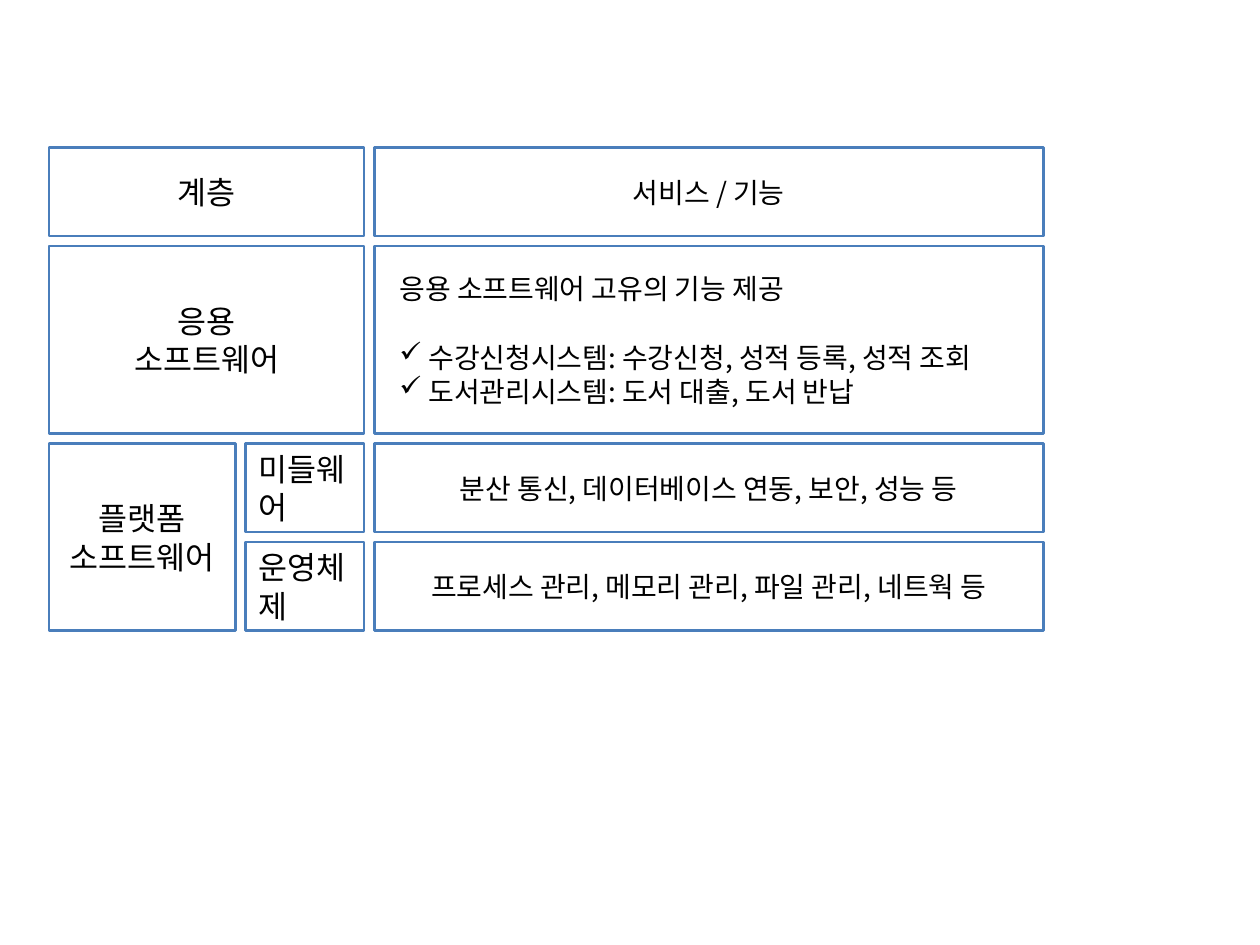
from lxml import etree
from pptx import Presentation
from pptx.dml.color import RGBColor
from pptx.enum import shapes, text
from pptx.oxml.ns import qn
from pptx.util import Inches, Pt

COLORS = {"border": "4A7EBB", "text": "000000"}
FONT = "Noto Sans CJK KR"
CENTER, LEFT = text.PP_ALIGN.CENTER, text.PP_ALIGN.LEFT
LABEL, SERVICE = 18, 16  # text sizes
LINE_HEIGHT = {LABEL: 22, SERVICE: 19.5}
BULLET_INDENT = 0.23

# Cells: column, column end, row, row end, size, alignment, lines
CELLS = [
    (0, 2, 0, 1, LABEL, CENTER, ["계층"]),
    (2, 3, 0, 1, SERVICE, CENTER, ["서비스 / 기능"]),
    (0, 2, 1, 3, LABEL, CENTER, ["응용", "소프트웨어"]),
    (2, 3, 1, 3, SERVICE, LEFT, ["응용 소프트웨어 고유의 기능 제공"]),
    (0, 1, 3, 5, LABEL, CENTER, ["플랫폼", "소프트웨어"]),
    (1, 2, 3, 4, LABEL, LEFT, ["미들웨어"]),
    (2, 3, 3, 4, SERVICE, CENTER, ["분산 통신, 데이터베이스 연동, 보안, 성능 등"]),
    (1, 2, 4, 5, LABEL, LEFT, ["운영체제"]),
    (2, 3, 4, 5, SERVICE, CENTER, ["프로세스 관리, 메모리 관리, 파일 관리, 네트웍 등"]),
]
APPLICATION_BULLETS = [
    "수강신청시스템: 수강신청, 성적 등록, 성적 조회",
    "도서관리시스템: 도서 대출, 도서 반납",
]

# Grid: each cell ends one gap before the next grid line
GAP = 0.08
COLUMNS = [0.39, 1.95, 2.97, 8.36]
TOP, ROW_PITCH = 1.17, 0.783


def add_cell(slide, column, column_end, row, row_end):
    shape = slide.shapes.add_shape(
        shapes.MSO_SHAPE.RECTANGLE,
        Inches(COLUMNS[column]), Inches(TOP + row * ROW_PITCH),
        Inches(COLUMNS[column_end] - COLUMNS[column] - GAP),
        Inches((row_end - row) * ROW_PITCH - GAP))
    shape.shadow.inherit = False
    shape.fill.background()
    shape.line.color.rgb = RGBColor.from_string(COLORS["border"])
    shape.line.width = Pt(1.5)
    frame = shape.text_frame
    frame.word_wrap = True
    frame.vertical_anchor = text.MSO_ANCHOR.MIDDLE
    return frame


def add_line(frame, index, content, size, alignment, bullet=False):
    paragraph = frame.paragraphs[0] if index == 0 else frame.add_paragraph()
    paragraph.text = content
    paragraph.alignment = alignment
    paragraph.line_spacing = Pt(LINE_HEIGHT[size])
    if bullet:
        if index == 1:
            paragraph.space_before = Pt(LINE_HEIGHT[size])
        properties = paragraph._p.get_or_add_pPr()
        properties.set("marL", str(Inches(BULLET_INDENT)))
        properties.set("indent", str(-Inches(BULLET_INDENT)))
        etree.SubElement(properties, qn("a:buChar"), char="✓")
    font = paragraph.font
    font.name = FONT
    font.size = Pt(size)
    font.color.rgb = RGBColor.from_string(COLORS["text"])
    # East Asian typeface for the Korean text
    etree.SubElement(font._element, qn("a:ea"), typeface=FONT)


def main():
    presentation = Presentation()
    presentation.slide_width, presentation.slide_height = Inches(10), Inches(7.5)
    slide = presentation.slides.add_slide(presentation.slide_layouts[6])

    for *place, size, alignment, lines in CELLS:
        frame = add_cell(slide, *place)
        for index, content in enumerate(lines):
            add_line(frame, index, content, size, alignment)

        # Example systems below the application description
        if size == SERVICE and alignment == LEFT:
            frame.margin_left, frame.margin_right = Inches(0.2), 0
            for index, content in enumerate(APPLICATION_BULLETS, 1):
                add_line(frame, index, content, size, alignment, bullet=True)

    presentation.save("out.pptx")


if __name__ == "__main__":
    main()
